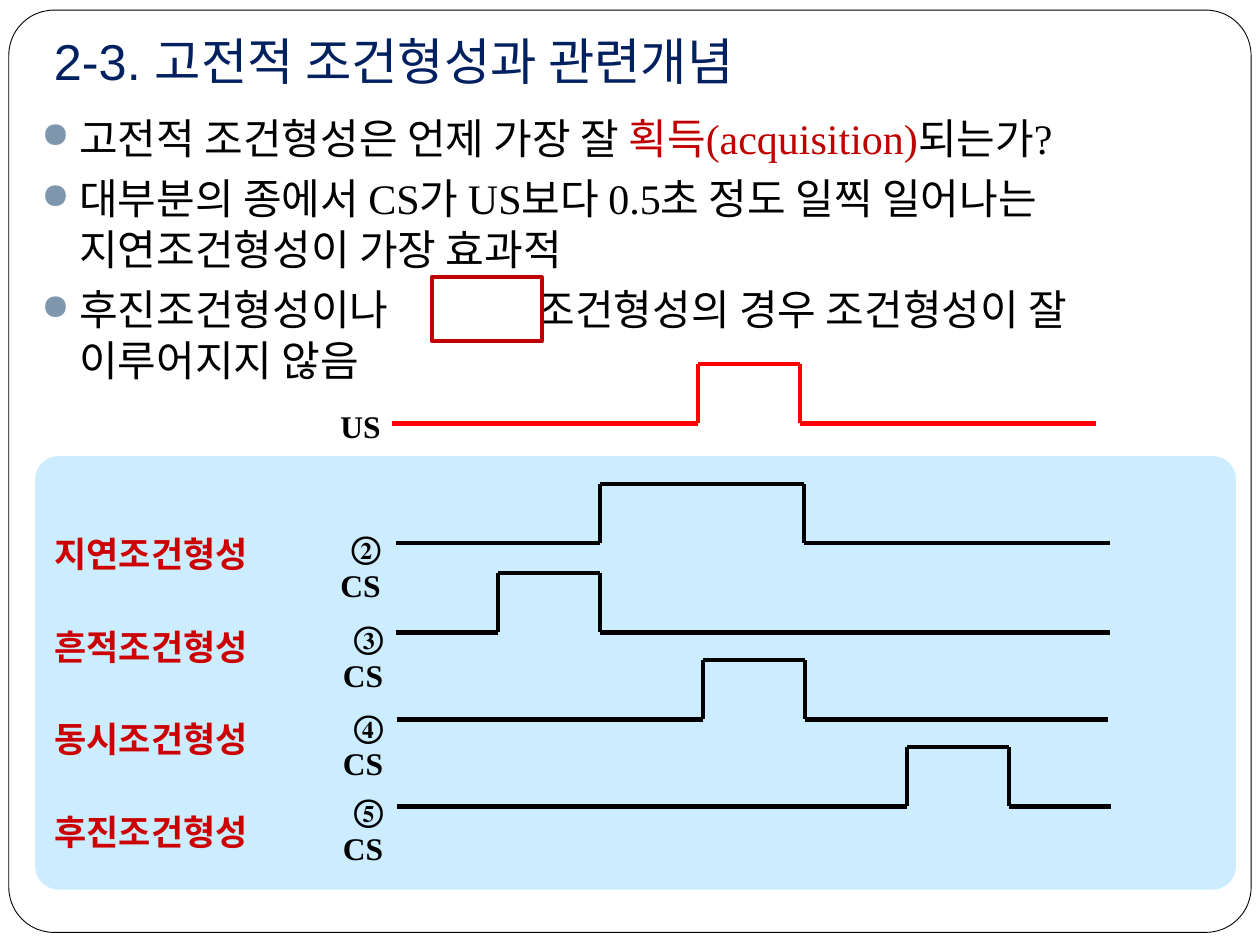
from dataclasses import dataclass

from lxml import etree
from pptx import Presentation, util as u
from pptx.dml.color import RGBColor
from pptx.enum import shapes, text
from pptx.oxml.ns import qn

COLUMNS, ROWS = 100, 75


@dataclass(frozen=True)
class Theme:
    heading_font: str = "Arial"
    body_font: str = "Times New Roman"
    white: str = "FFFFFF"
    black: str = "000000"
    navy: str = "002060"
    accent: str = "C00000"
    label_red: str = "CC0000"
    signal_red: str = "FF0000"
    panel: str = "CCECFF"
    bullet: str = "7E97AD"
    title_size: float = 28.8
    body_size: float = 24
    name_size: float = 20
    signal_size: float = 18


class SlideBuilder:
    """Places elements on a grid of COLUMNS by ROWS cells."""

    def __init__(self, presentation, theme):
        self.theme = theme
        self.slide = presentation.slides.add_slide(presentation.slide_layouts[6])
        self.column = presentation.slide_width / COLUMNS
        self.row = presentation.slide_height / ROWS

    def x(self, columns):
        return u.Emu(round(columns * self.column))

    def y(self, rows):
        return u.Emu(round(rows * self.row))

    def place(self, left, top, width, height):
        return self.x(left), self.y(top), self.x(width), self.y(height)

    def box(self, area, fill, line=None, line_width=1, corner=None):
        kind = shapes.MSO_SHAPE.RECTANGLE if corner is None else shapes.MSO_SHAPE.ROUNDED_RECTANGLE
        shape = self.slide.shapes.add_shape(kind, *self.place(*area))
        shape.shadow.inherit = False
        if corner is not None:
            shape.adjustments[0] = corner
        shape.fill.solid()
        shape.fill.fore_color.rgb = RGBColor.from_string(fill)
        if line:
            shape.line.color.rgb = RGBColor.from_string(line)
            shape.line.width = u.Pt(line_width)
        else:
            shape.line.fill.background()
        return shape

    def text_frame(self, area):
        frame = self.slide.shapes.add_textbox(*self.place(*area)).text_frame
        frame.word_wrap = True
        return frame

    def paragraph(self, frame, first, space_before=0, align=text.PP_ALIGN.LEFT):
        paragraph = frame.paragraphs[0] if first else frame.add_paragraph()
        paragraph.alignment = align
        if not first:
            paragraph.space_before = u.Pt(space_before)
        return paragraph

    def run(self, paragraph, words, size, color, bold=False, font=None):
        run = paragraph.add_run()
        run.text = words
        run.font.name = font or self.theme.body_font
        run.font.size = u.Pt(size)
        run.font.bold = bold
        run.font.color.rgb = RGBColor.from_string(color)

    def title(self, area, words):
        frame = self.text_frame(area)
        frame.vertical_anchor = text.MSO_ANCHOR.BOTTOM
        frame.margin_bottom = self.y(1)
        self.run(self.paragraph(frame, True), words, self.theme.title_size,
                 self.theme.navy, font=self.theme.heading_font)

    def add_bullet(self, paragraph, tab):
        properties = paragraph._p.get_or_add_pPr()
        properties.set("marL", str(self.x(3)))
        properties.set("indent", str(-self.x(3)))
        color = etree.SubElement(properties, qn("a:buClr"))
        etree.SubElement(color, qn("a:srgbClr"), val=self.theme.bullet)
        etree.SubElement(properties, qn("a:buSzPct"), val="85000")
        etree.SubElement(properties, qn("a:buChar"), char="●")
        if tab:
            tabs = etree.SubElement(properties, qn("a:tabLst"))
            etree.SubElement(tabs, qn("a:tab"), pos=str(self.x(tab)), algn="l")

    def bullets(self, area, items, tab):
        """Each item is a list of (words, color) runs; tab is the stop used after a tab sign."""
        frame = self.text_frame(area)
        for index, runs in enumerate(items):
            paragraph = self.paragraph(frame, index == 0, 5.8)
            self.add_bullet(paragraph, tab if any("\t" in words for words, _ in runs) else None)
            for words, color in runs:
                self.run(paragraph, words, self.theme.body_size, color)

    def name_panel(self, area, names):
        panel = self.box(area, self.theme.panel, corner=0.054)
        frame = panel.text_frame
        frame.word_wrap = True
        frame.vertical_anchor = text.MSO_ANCHOR.TOP
        frame.margin_top = self.y(5.5)
        for index, name in enumerate(names):
            paragraph = self.paragraph(frame, index == 0, 29)
            self.run(paragraph, name, self.theme.name_size, self.theme.label_red, bold=True)

    def signal_label(self, left, top, words):
        frame = self.text_frame((left, top, 8, 3.3))
        paragraph = self.paragraph(frame, True, align=text.PP_ALIGN.RIGHT)
        self.run(paragraph, words, self.theme.signal_size, self.theme.black, bold=True)

    def pulse(self, start, end, baseline, on, off, color):
        """Draws a square pulse; on and off count time steps from start."""
        step, height = 8.1, 4.7
        rise, fall, top = start + on * step, start + off * step, baseline - height
        points = [(start, baseline), (rise, baseline), (rise, top),
                  (fall, top), (fall, baseline), (end, baseline)]
        group = self.slide.shapes.add_group_shape()
        for (x1, y1), (x2, y2) in zip(points, points[1:]):
            line = group.shapes.add_connector(
                shapes.MSO_CONNECTOR.STRAIGHT, self.x(x1), self.y(y1), self.x(x2), self.y(y2))
            line.line.color.rgb = RGBColor.from_string(color)
            line.line.width = u.Pt(2.5)
            etree.SubElement(line._element.spPr, qn("a:effectLst"))


def main():
    presentation = Presentation()
    presentation.slide_width, presentation.slide_height = u.Inches(10), u.Inches(7.5)
    theme = Theme()
    builder = SlideBuilder(presentation, theme)

    builder.box((0.7, 0.8, 98.6, 73.2), theme.white, theme.black, 0.5, corner=0.049)
    builder.title((3.3, 2.1, 90.7, 6.1), "2-3. 고전적 조건형성과 관련개념")
    builder.bullets((2.3, 8.4, 94.9, 14.2), [
        [("고전적 조건형성은 언제 가장 잘 ", theme.black),
         ("획득(acquisition)", theme.accent), ("되는가?", theme.black)],
        [("대부분의 종에서 CS가 US보다 0.5초 정도 일찍 일어나는 지연조건형성이 가장 효과적",
          theme.black)],
        [("후진조건형성이나\t조건형성의 경우 조건형성이 잘 이루어지지 않음", theme.black)],
    ], tab=39.3)
    builder.name_panel((2.8, 36.2, 95.3, 34.4),
                       ["지연조건형성", "흔적조건형성", "동시조건형성", "후진조건형성"])

    signals = [  # label, label left, label top, start, end, baseline, on, off, color
        ("US", 23.2, 31.8, 31.1, 87, 33.6, 3, 4, theme.signal_red),
        ("② CS", 23.2, 41.4, 31.4, 88.1, 43.1, 2, 4, theme.black),
        ("③ CS", 23.4, 48.6, 31.4, 88.1, 50.2, 1, 2, theme.black),
        ("④ CS", 23.4, 55.6, 31.5, 87.9, 57.1, 3, 4, theme.black),
        ("⑤ CS", 23.4, 62.3, 31.5, 88.2, 64, 5, 6, theme.black),
    ]
    for label, left, top, *pulse in signals:
        builder.signal_label(left, top, label)
        builder.pulse(*pulse)

    builder.box((34.3, 22, 8.7, 5.1), theme.white, theme.accent, 2.25)
    presentation.save("out.pptx")


if __name__ == "__main__":
    main()
